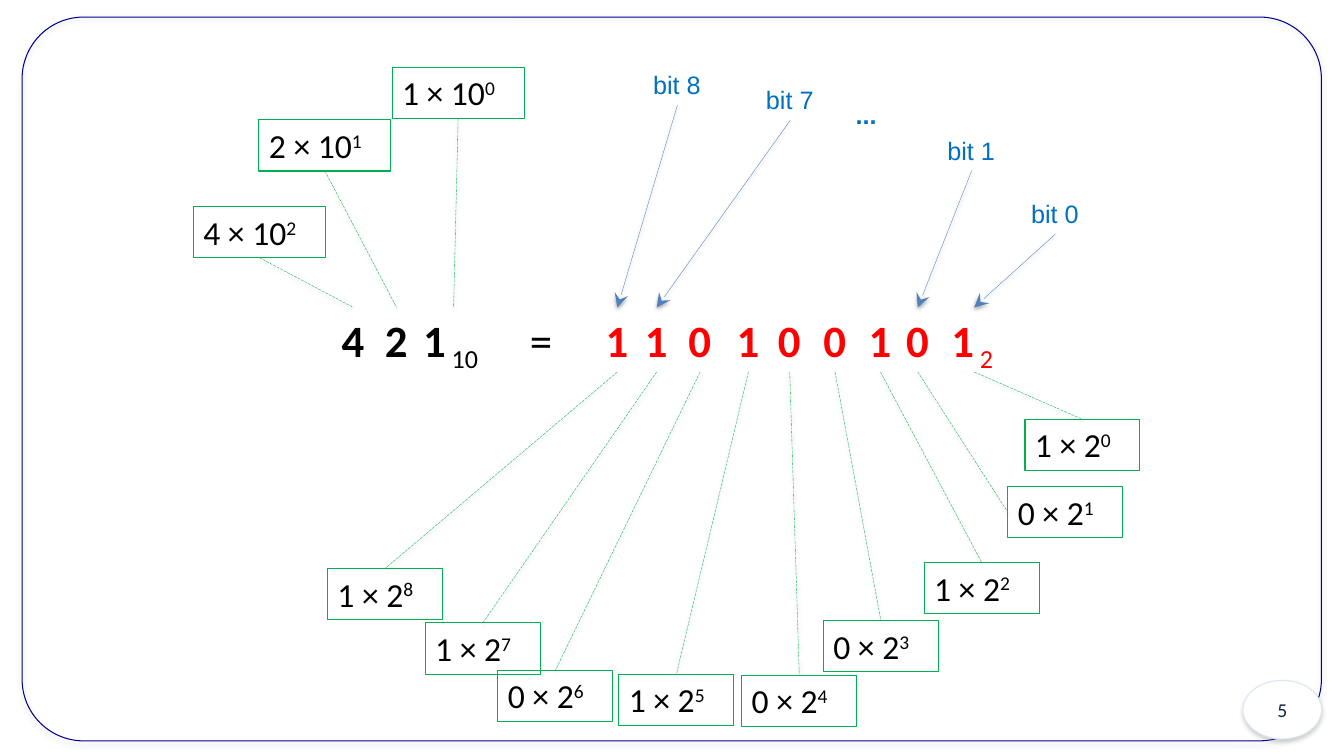
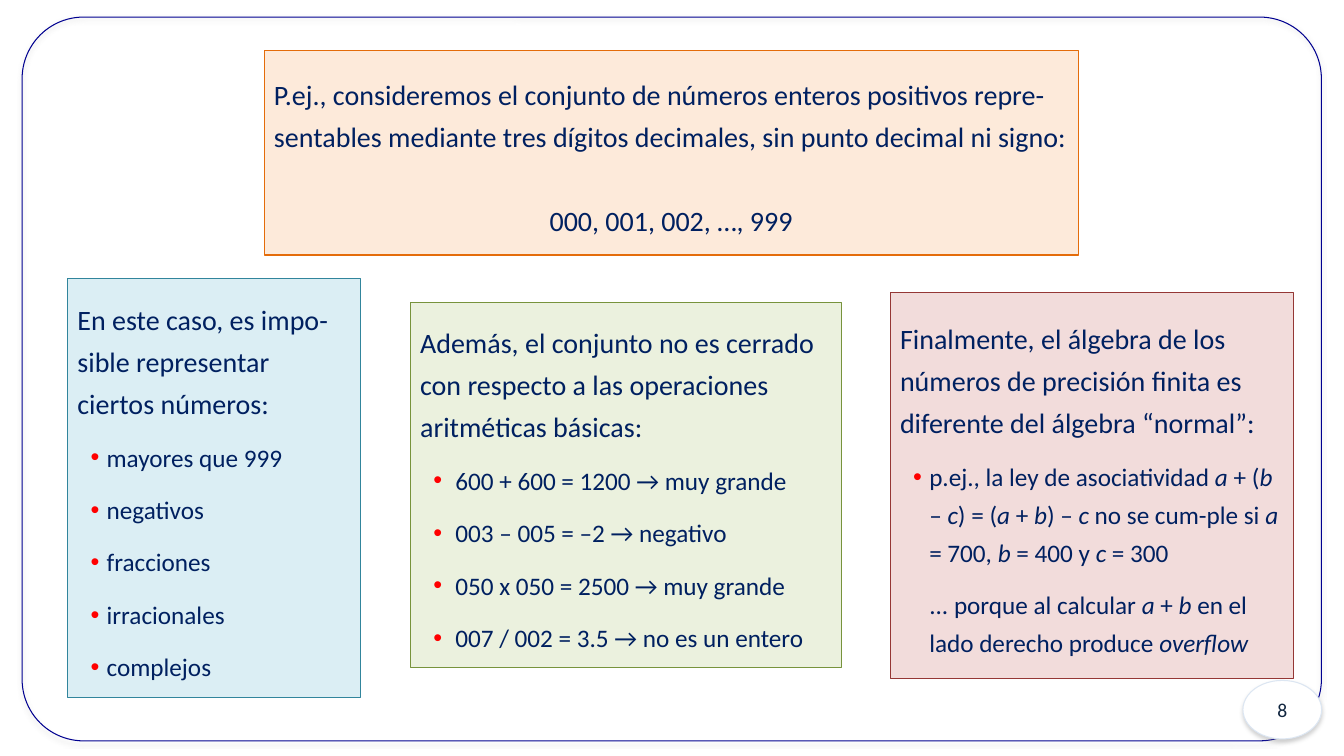
from lxml import etree
from pptx import Presentation
from pptx import util as u
from pptx.dml import color as col
from pptx.enum import dml, shapes, text
from pptx.oxml import ns


class Style:
    """Hold the shared style and draw on the current slide."""

    colours = {
        "frame": "000090", "shade": "808080", "black": "000000", "white": "FFFFFF",
        "badge_line": "DCE6F2", "badge_text": "10253F", "green": "00B050",
        "red": "FF0000", "label": "0070C0", "arrow": "4F81BD", "navy": "002060",
        "orange_fill": "FDEADA", "orange": "E46C0A", "teal_fill": "DBEEF4",
        "teal": "31859C", "olive_fill": "EBF1DE", "olive": "77933C",
        "rose_fill": "F2DCDB", "rose": "953735",
    }

    def __init__(self):
        self.deck = Presentation()
        self.deck.slide_width = u.Pt(960)
        self.deck.slide_height = u.Pt(540)
        self.page = None

    def rgb(self, name):
        return col.RGBColor.from_string(self.colours[name])

    def node(self, parent, tag, **attributes):
        return etree.SubElement(parent, ns.qn("a:" + tag), attributes)

    def new_page(self, number):
        self.page = self.deck.slides.add_slide(self.deck.slide_layouts[6])
        frame = self.shape(shapes.MSO_SHAPE.ROUNDED_RECTANGLE,
                           (15.8, 12.2, 928.1, 517), "frame")
        frame.adjustments[0] = 0.085
        badge = self.shape(shapes.MSO_SHAPE.OVAL,
                           (887.8, 486, 56.2, 41.8), "badge_line", "white")
        badge.text_frame.vertical_anchor = text.MSO_ANCHOR.MIDDLE
        para = badge.text_frame.paragraphs[0]
        self.add_spans(para, str(number), 14, "badge_text")
        para.alignment = text.PP_ALIGN.CENTER
        for item in (frame, badge):
            self.shadow(item, "shade", 35, 1.8)

    def shadow(self, item, colour, opacity, distance):
        properties = item._element.spPr
        effects = properties.find(ns.qn("a:effectLst"))
        if effects is None:
            effects = self.node(properties, "effectLst")
        outer = self.node(effects, "outerShdw", blurRad=str(u.Pt(3.1)),
                          dist=str(u.Pt(distance)), dir="5400000", rotWithShape="0")
        tone = self.node(outer, "srgbClr", val=self.colours[colour])
        self.node(tone, "alpha", val=str(opacity * 1000))

    def shape(self, kind, place, line, fill=None):
        item = self.page.shapes.add_shape(kind, *map(u.Pt, place))
        item.shadow.inherit = False
        item.line.color.rgb = self.rgb(line)
        item.line.width = u.Pt(0.75)
        if fill:
            item.fill.solid()
            item.fill.fore_color.rgb = self.rgb(fill)
        else:
            item.fill.background()
        return item

    def add_spans(self, para, content, size, colour, font="Calibri", bold=False,
                  mark="", shift=0):
        pieces = [(piece, order % 2 == 1, 0)
                  for order, piece in enumerate(content.split("*"))]
        for piece, italic, baseline in pieces + [(mark, False, shift)]:
            if not piece:
                continue
            span = para.add_run()
            span.text = piece
            span.font.name = font
            span.font.size = u.Pt(size)
            span.font.color.rgb = self.rgb(colour)
            span.font.bold = bold and not baseline
            span.font.italic = italic
            if baseline:
                span._r.get_or_add_rPr().set("baseline", str(baseline * 1000))
        para.alignment = text.PP_ALIGN.LEFT

    def term(self, place, content, power):
        box = self.shape(shapes.MSO_SHAPE.RECTANGLE, place, "green")
        box.text_frame.vertical_anchor = text.MSO_ANCHOR.TOP
        self.add_spans(box.text_frame.paragraphs[0], content, 24, "black",
                       mark=str(power), shift=30)
        return box

    def label(self, place, content, size, colour, **look):
        box = self.page.shapes.add_textbox(*map(u.Pt, place))
        box.text_frame.word_wrap = False
        self.add_spans(box.text_frame.paragraphs[0], content, size, colour, **look)
        return box

    def digit(self, left, content, colour, width=31, base=""):
        return self.label((left, 219.6, width, 46.1), content, 32, colour,
                          bold=content != "=", mark=base, shift=-25)

    def link(self, start, start_side, end, end_side, colour, arrow=False):
        line = self.page.shapes.add_connector(shapes.MSO_CONNECTOR.STRAIGHT, 0, 0, 0, 0)
        line.begin_connect(start, start_side)
        line.end_connect(end, end_side)
        line.line.color.rgb = self.rgb(colour)
        line.line.width = u.Pt(0.25)
        if arrow:
            self.node(line.line._get_or_add_ln(), "tailEnd",
                      type="stealth", w="lg", len="lg")
        else:
            line.line.dash_style = dml.MSO_LINE.LONG_DASH
        self.shadow(line, "black", 38, 1.6)

    def panel(self, place, colour, intro):
        box = self.shape(shapes.MSO_SHAPE.RECTANGLE, place, colour, colour + "_fill")
        box.text_frame.word_wrap = True
        box.text_frame.vertical_anchor = text.MSO_ANCHOR.MIDDLE
        self.spaced(box.text_frame.paragraphs[0], intro, 20, 30)
        return box

    def spaced(self, para, content, size, before):
        self.add_spans(para, content, size, "navy")
        para.line_spacing = 1.25
        para.space_before = u.Pt(before)

    def item(self, box, content, margin, hang, bullet=True):
        para = box.text_frame.add_paragraph()
        para.level = 1
        self.spaced(para, content, 18, 10.5)
        properties = para._p.get_or_add_pPr()
        properties.set("marL", str(u.Pt(margin)))
        properties.set("indent", str(-u.Pt(hang) if bullet else 0))
        if bullet:
            tone = self.node(properties, "buClr")
            self.node(tone, "srgbClr", val=self.colours["red"])
            self.node(properties, "buFont", typeface="Arial")
            self.node(properties, "buChar", char="•")


def draw_positions(style):
    style.new_page(5)
    decimals = [
        ("4", 2, 236.9, 138.2, 147.6),
        ("2", 1, 267.8, 185, 85.7),
        ("1", 0, 295.2, 280.1, 48.2),
    ]
    for value, power, left, term_left, term_top in decimals:
        term = style.term((term_left, term_top, 94.3, 36.5), f"{value} × 10", power)
        width, base = (31, "") if power else (57.6, " 10")
        digit = style.digit(left, value, "black", width, base)
        style.link(term, 2, digit, 0, "green")
    style.digit(371.5, "=", "black")

    binaries = [
        ("1", 425.5, 234, 406.1), ("1", 453.6, 303.8, 445),
        ("0", 484.6, 355.7, 478.8), ("1", 519.1, 442.1, 481.7),
        ("0", 548.6, 529.9, 482.4), ("0", 581, 588.2, 443.5),
        ("1", 613.4, 660.2, 401.8), ("0", 640.1, 720, 347.8),
        ("1", 672.5, 732.2, 299.5),
    ]
    bits = {}
    for power, (value, left, term_left, term_top) in zip(range(8, -1, -1), binaries):
        term = style.term((term_left, term_top, 82.1, 36.5), f"{value} × 2", power)
        width, base = (31, "") if power else (46.8, " 2")
        bits[power] = style.digit(left, value, "red", width, base)
        style.link(bits[power], 2, term, 1 if power == 1 else 0, "green")

    names = {8: (459.4, 46.1), 7: (540, 56.9), 1: (669.6, 92.9), 0: (729.4, 138.2)}
    for power, corner in names.items():
        name = style.label((*corner, 49, 29), f"bit {power}", 18, "label", font="Arial")
        style.link(name, 2, bits[power], 0, "arrow", arrow=True)
    style.label((604.1, 67.7, 29.5, 29), "...", 18, "label", font="Arial", bold=True)


def draw_finite_precision(style):
    style.new_page(8)
    example = style.panel(
        (188.6, 36, 581.8, 146.2), "orange",
        "P.ej., consideremos el conjunto de números enteros positivos repre-sentables "
        "mediante tres dígitos decimales, sin punto decimal ni signo:")
    para = example.text_frame.add_paragraph()
    style.spaced(para, "000, 001, 002, …, 999", 20, 30)
    para.alignment = text.PP_ALIGN.CENTER

    panels = [
        ((48.2, 198.7, 209.5, 299.5), "teal", 20.9, 11.5,
         "En este caso, es impo-sible representar ciertos números:",
         ["mayores que 999", "negativos", "fracciones", "irracionales", "complejos"]),
        ((293, 216, 308.2, 260.6), "olive", 25.2, 15.8,
         "Además, el conjunto no es cerrado con respecto a las operaciones "
         "aritméticas básicas:",
         ["600 + 600 = 1200 → muy grande", "003 – 005 = –2 → negativo",
          "050 x 050 = 2500 → muy grande", "007 / 002 = 3.5 → no es un entero"]),
        ((635.8, 208.8, 288, 275.8), "rose", 20.9, 11.5,
         "Finalmente, el álgebra de los números de precisión finita es diferente "
         "del álgebra “normal”:",
         ["p.ej., la ley de asociatividad *a* + (*b* – *c*) = (*a* + *b*) – *c* "
          "no se cum-ple si *a* = 700, *b* = 400 y *c* = 300"]),
    ]
    for place, colour, margin, hang, intro, items in panels:
        box = style.panel(place, colour, intro)
        for content in items:
            style.item(box, content, margin, hang)
    style.item(box, "... porque al calcular *a* + *b* en el lado derecho produce *overflow*",
               margin, hang, bullet=False)


def main():
    style = Style()
    draw_positions(style)
    draw_finite_precision(style)
    style.deck.save("out.pptx")


if __name__ == "__main__":
    main()
